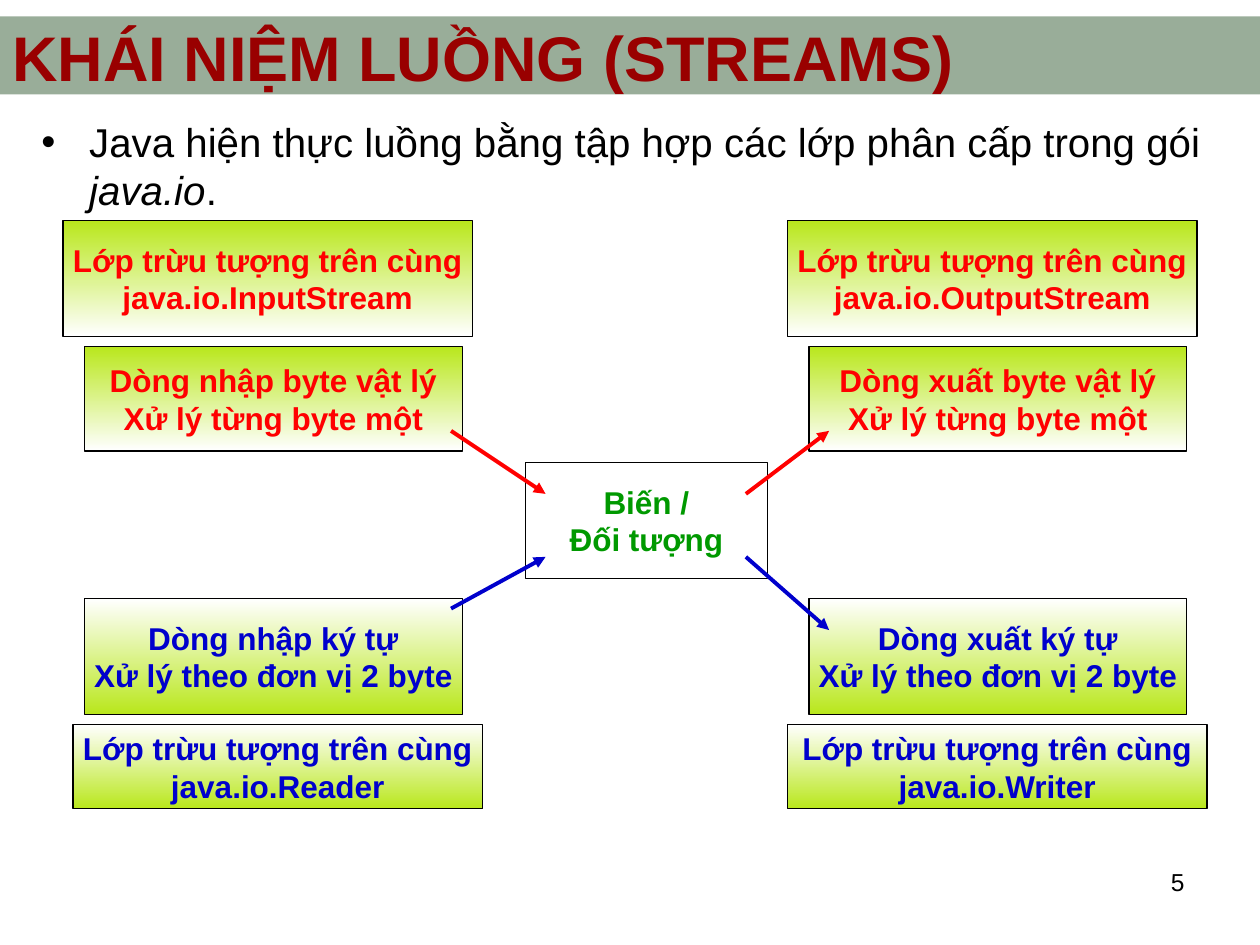
from lxml.etree import SubElement
from pptx import Presentation
from pptx.dml.color import RGBColor
from pptx.enum.shapes import MSO_CONNECTOR, MSO_SHAPE
from pptx.enum.text import MSO_ANCHOR, PP_ALIGN
from pptx.oxml.ns import qn
from pptx.util import Inches, Pt

RED, BLUE, GREEN = "FF0000", "0000CC", "009900"
LIME, WHITE, BLACK = "B9E71C", "FFFFFF", "000000"
FADE = {RED: (LIME, WHITE), BLUE: (WHITE, LIME)}
TOP = "Lớp trừu tượng trên cùng"
BYTE = "Xử lý từng byte một"
CHAR = "Xử lý theo đơn vị 2 byte"

BOXES = [
    ((4.17, 3.67, 1.92, 0.92), GREEN, ("Biến /", "Đối tượng")),
    ((0.67, 2.75, 3, 0.83), RED, ("Dòng nhập byte vật lý", BYTE)),
    ((0.67, 4.75, 3, 0.92), BLUE, ("Dòng nhập ký tự", CHAR)),
    ((6.42, 2.75, 3, 0.83), RED, ("Dòng xuất byte vật lý", BYTE)),
    ((6.42, 4.75, 3, 0.92), BLUE, ("Dòng xuất ký tự", CHAR)),
    ((0.5, 1.75, 3.25, 0.92), RED, (TOP, "java.io.InputStream")),
    ((6.25, 1.75, 3.25, 0.92), RED, (TOP, "java.io.OutputStream")),
    ((0.58, 5.75, 3.25, 0.67), BLUE, (TOP, "java.io.Reader")),
    ((6.25, 5.75, 3.33, 0.67), BLUE, (TOP, "java.io.Writer")),
]
ARROWS = [
    ((3.58, 3.42), (4.33, 3.92), RED),
    ((3.58, 4.83), (4.33, 4.42), BLUE),
    ((5.92, 4.42), (6.58, 5), BLUE),
    ((5.92, 3.92), (6.58, 3.42), RED),
]


def paint(target, color):
    target.rgb = RGBColor.from_string(color)


def style(run, color, **form):
    for name, value in {"name": "Arial", **form}.items():
        setattr(run.font, name, value)
    paint(run.font.color, color)


def add_rect(slide, place):
    rect = slide.shapes.add_shape(MSO_SHAPE.RECTANGLE, *map(Inches, place))
    rect.shadow.inherit = False
    return rect


def add_band(slide, place, color, alpha):
    band = add_rect(slide, place)
    band.line.fill.background()
    band.fill.solid()
    paint(band.fill.fore_color, color)
    tint = band.fill._xPr.find(".//" + qn("a:srgbClr"))
    SubElement(tint, qn("a:alpha"), val=str(alpha * 1000))


def add_box(slide, place, color, lines):
    box = add_rect(slide, place)
    if color in FADE:
        box.fill.gradient()
        box.fill.gradient_angle = 270
        for stop, shade in zip(box.fill.gradient_stops, FADE[color]):
            paint(stop.color, shade)
    else:
        box.fill.solid()
        paint(box.fill.fore_color, WHITE)
    paint(box.line.color, BLACK)
    box.line.width = Pt(0.75)
    frame = box.text_frame
    frame.word_wrap = False
    frame.vertical_anchor = MSO_ANCHOR.MIDDLE
    frame.text = "\n".join(lines)
    for para in frame.paragraphs:
        para.alignment = PP_ALIGN.CENTER
        style(para.runs[0], color, size=Pt(18), bold=True)


def add_text(slide, place, parts, color, align=PP_ALIGN.LEFT,
             anchor=MSO_ANCHOR.TOP):
    frame = slide.shapes.add_textbox(*map(Inches, place)).text_frame
    frame.word_wrap = True
    frame.vertical_anchor = anchor
    para = frame.paragraphs[0]
    para.alignment = align
    for text, form in parts:
        run = para.add_run()
        run.text = text
        style(run, color, **form)
    return para


def add_bullet(para, indent):
    props = para._p.get_or_add_pPr()
    props.set("marL", str(Inches(indent)))
    props.set("indent", str(Inches(-indent)))
    SubElement(props, qn("a:buFont"), typeface="Arial")
    SubElement(props, qn("a:buChar"), char="•")


def add_arrow(slide, start, end, color):
    ends = map(Inches, (*start, *end))
    arrow = slide.shapes.add_connector(MSO_CONNECTOR.STRAIGHT, *ends)
    paint(arrow.line.color, color)
    arrow.line.width = Pt(2.25)
    SubElement(arrow.line._get_or_add_ln(), qn("a:tailEnd"), type="triangle")
    SubElement(arrow._element.spPr, qn("a:effectLst"))


def main():
    deck = Presentation()
    deck.slide_width, deck.slide_height = Inches(10), Inches(7.5)
    slide = deck.slides.add_slide(deck.slide_layouts[6])
    add_text(slide, (7.17, 6.83, 2.33, 0.52), [("5", {"size": Pt(14)})],
             BLACK, align=PP_ALIGN.RIGHT)
    add_band(slide, (0, 0.13, 10, 0.62), "003300", 40)
    add_text(slide, (0, 0.24, 10, 0.42),
             [("KHÁI NIỆM LUỒNG (STREAMS)", {"size": Pt(36), "bold": True})],
             "990000", anchor=MSO_ANCHOR.MIDDLE)
    size = Pt(23)
    body = add_text(slide, (0.23, 0.88, 9.52, 0.98), [
        ("Java hiện thực luồng bằng tập hợp các lớp phân cấp trong gói ",
         {"size": size}),
        ("java.io", {"size": size, "italic": True}),
        (".", {"size": size}),
    ], BLACK)
    add_bullet(body, 0.38)
    for box in BOXES:
        add_box(slide, *box)
    for arrow in ARROWS:
        add_arrow(slide, *arrow)
    deck.save("out.pptx")


if __name__ == "__main__":
    main()
